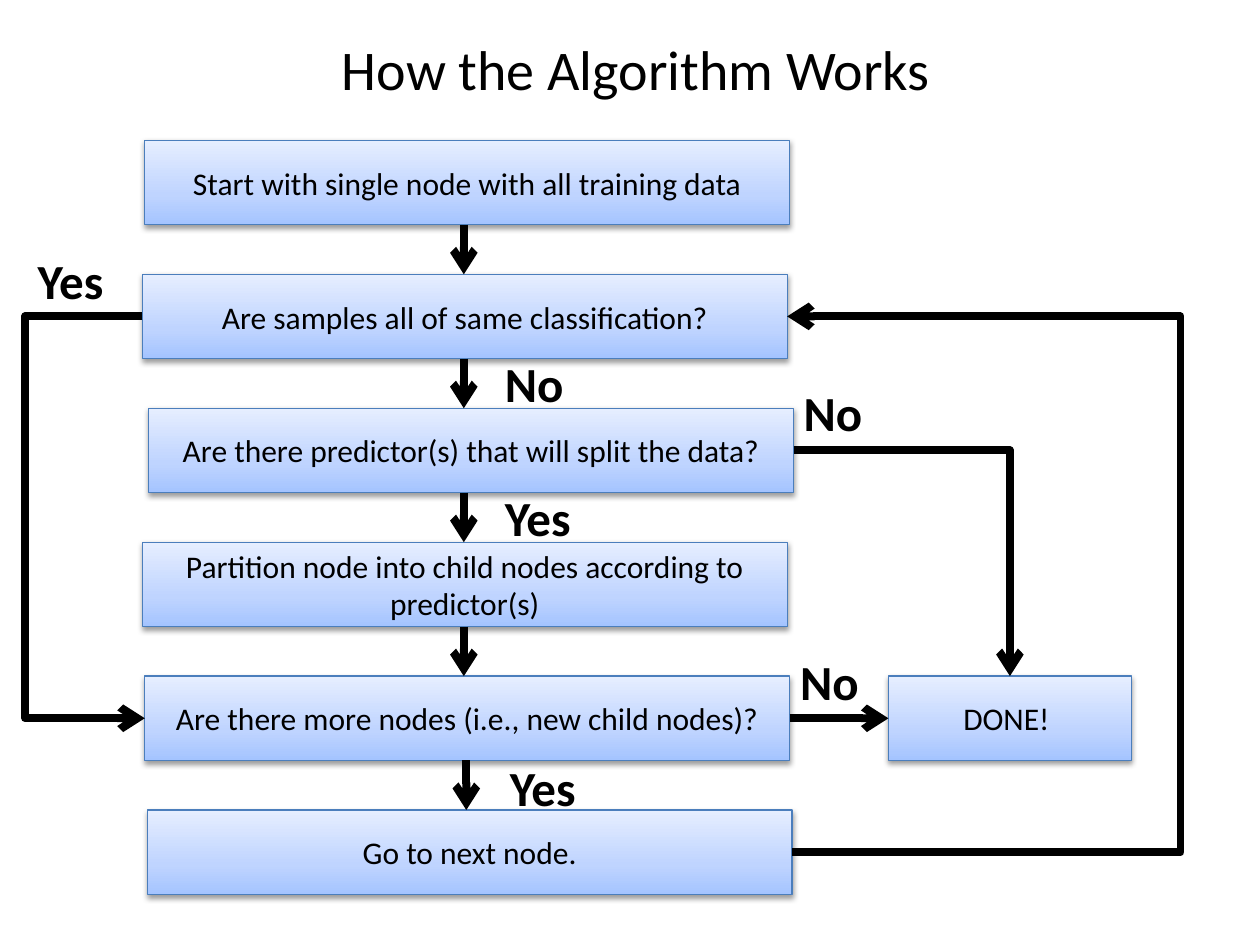
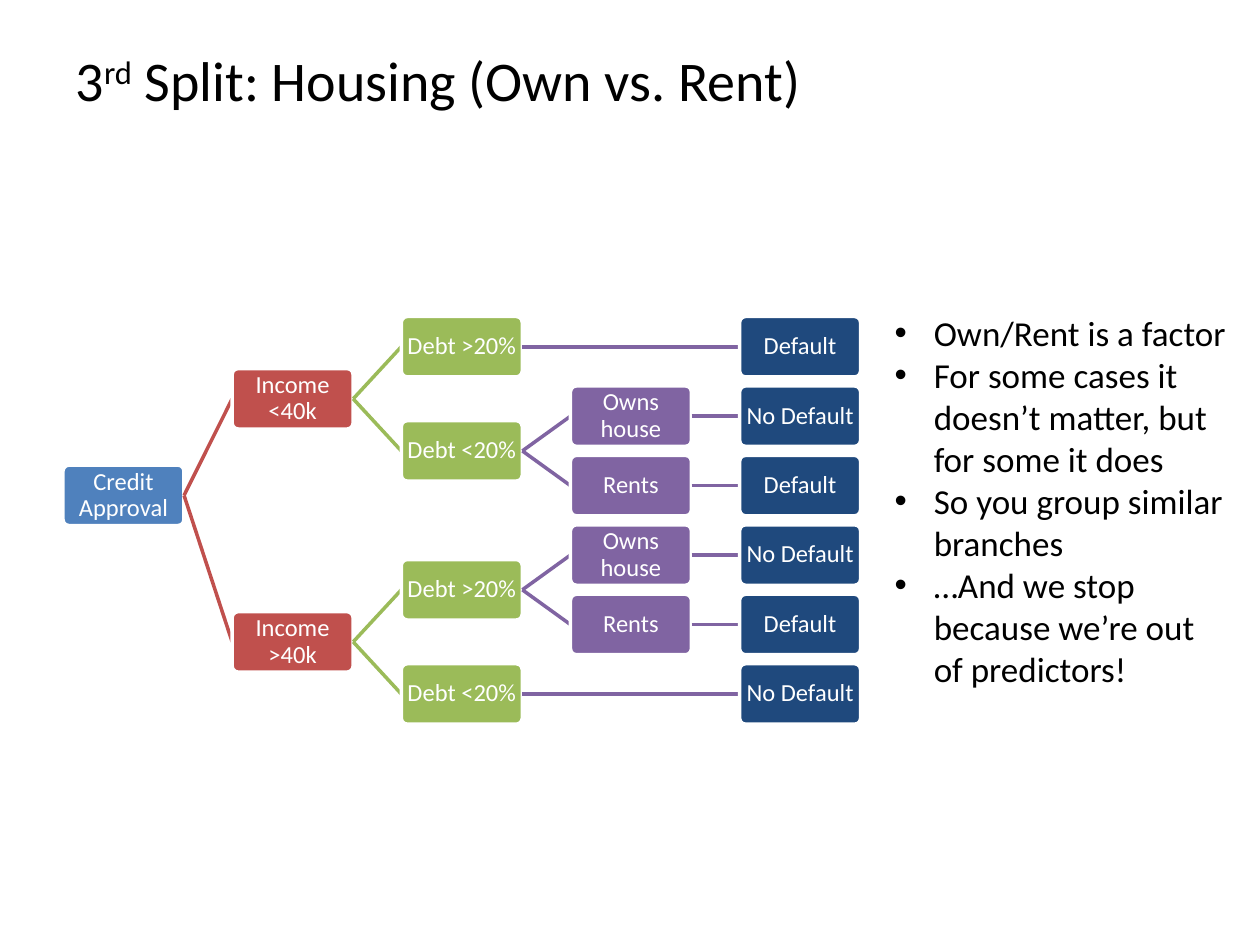
from lxml import etree
from pptx import Presentation
from pptx import util as u
from pptx.dml.color import RGBColor
from pptx.enum import shapes, text
from pptx.oxml.ns import nsdecls, qn
from pptx.util import Cm

# ---- Shared style ----
FONT = "Calibri"
BLACK, WHITE = "000000", "FFFFFF"
TOP, LEFT, BOTTOM, RIGHT = range(4)  # connection sites of a box

# ---- Slide 1: flowchart ----
FLOW_TITLE = [("How the Algorithm Works ", 0)]
STEPS = [  # left edge in cm, text
    (2.92, "Start with single node with all training data"),
    (2.87, "Are samples all of same classification?"),
    (3.0, "Are there predictor(s) that will split the data?"),
    (2.87, "Partition node into child nodes according to predictor(s)"),
    (2.92, "Are there more nodes (i.e., new child nodes)?"),
    (2.97, "Go to next node."),
]
STEP_TOP, STEP_PITCH, STEP_W, STEP_H = 2.83, 2.7, 13.0, 1.7
DONE_TEXT, DONE_X, DONE_W, DONE_ROW = "DONE! ", 17.91, 4.9, 4
DOWN_X = [9.35, 9.35, 9.35, 9.35, 9.4]
ANSWERS = [  # left, top, text
    (0.51, 4.93, "Yes"), (9.93, 7.01, "No"), (15.95, 7.59, "No"),
    (9.93, 9.7, "Yes"), (15.88, 13.0, "No"), (10.03, 15.14, "Yes"),
]
LEFT_LANE, RIGHT_LANE = 0.51, 23.8
STEP_STOPS = [(0, "A4C4FF"), (35, "BFD4FF"), (100, "E6EEFF")]
STEP_LINE = "4B7EBC"

# ---- Slide 2: decision tree ----
TREE_TITLE = [("3", 0), ("rd", 30), (" Split: Housing (Own vs. Rent)", 0)]
# (label, column, children); an outcome holds its row instead of children
TREE = ("Credit\nApproval", 0, [
    ("Income <40k", 1, [
        ("Debt >20%", 2, [("Default", 4, 0)]),
        ("Debt <20%", 2, [
            ("Owns house", 3, [("No Default", 4, 1)]),
            ("Rents", 3, [("Default", 4, 2)])]),
    ]),
    ("Income >40k", 1, [
        ("Debt >20%", 2, [
            ("Owns house", 3, [("No Default", 4, 3)]),
            ("Rents", 3, [("Default", 4, 4)])]),
        ("Debt <20%", 2, [("No Default", 4, 5)]),
    ]),
])
ROOT_ROW = 2.14
COLUMN_FILLS = ["4F81BD", "C0504D", "9BBB59", "8064A2", "1F497D"]
LINK_COLOURS = [None, "C0504D", "9BBB59", "8064A2", "8064A2"]
TREE_X, TREE_Y, COL_PITCH, ROW_PITCH = 1.27, 6.38, 3.41, 1.4
NODE_W, NODE_H = 2.44, 1.22
NOTES = [
    "Own/Rent is a factor",
    "For some cases it doesn’t matter, but for some it does",
    "So you group similar branches",
    "…And we stop because we’re out of predictors!",
]


# ---- Helpers ----
def rgb(colour):
    return RGBColor.from_string(colour)


def place(sp, x, y, w, h):
    sp.left, sp.top, sp.width, sp.height = Cm(x), Cm(y), Cm(w), Cm(h)


def add_run(p, words, size, colour=BLACK, bold=False):
    for i, line in enumerate(words.split("\n")):
        if i:
            p.add_line_break()
        r = p.add_run()
        r.text = line
        r.font.name, r.font.size, r.font.bold = FONT, u.Pt(size), bold
        r.font.color.rgb = rgb(colour)
    return r


def set_title(s, runs, x, w, h, align):
    sp = s.shapes.title
    place(sp, x, 0, w, h)
    tf = sp.text_frame
    tf.auto_size = text.MSO_AUTO_SIZE.NONE
    tf.vertical_anchor = text.MSO_ANCHOR.MIDDLE
    p = tf.paragraphs[0]
    p.alignment = align
    for words, raised in runs:
        r = add_run(p, words, 32)
        if raised:
            r.font._element.set("baseline", str(raised * 1000))


def add_box(s, kind, x, y, w, h, words, size, colour, line, width):
    sp = s.shapes.add_shape(kind, Cm(x), Cm(y), Cm(w), Cm(h))
    sp.shadow.inherit = False
    sp.line.color.rgb, sp.line.width = rgb(line), u.Pt(width)
    tf = sp.text_frame
    tf.word_wrap = True
    tf.vertical_anchor = text.MSO_ANCHOR.MIDDLE
    p = tf.paragraphs[0]
    p.alignment = text.PP_ALIGN.CENTER
    add_run(p, words, size, colour)
    return sp


def add_line(s, colour, width, ends=(0, 0, 0, 0), start=None, end=None,
             kind=shapes.MSO_CONNECTOR.STRAIGHT):
    """Line between two points, or glued to (box, site) pairs."""
    c = s.shapes.add_connector(kind, *[Cm(v) for v in ends])
    if start:
        c.begin_connect(*start)
        c.end_connect(*end)
    c.line.color.rgb, c.line.width = rgb(colour), u.Pt(width)
    etree.SubElement(c._element.spPr, qn("a:effectLst"))
    return c


def add_arrow(s, **where):
    c = add_line(s, BLACK, 4.5, **where)
    etree.SubElement(c.line._get_or_add_ln(), qn("a:tailEnd"), type="arrow")
    return c


def add_elbow(s, start, end, lane=None):
    """Elbow arrow through a vertical lane, or with a single corner."""
    c = add_arrow(s, start=start, end=end, kind=shapes.MSO_CONNECTOR.ELBOW)
    geom = c._element.spPr.find(qn("a:prstGeom"))
    if lane is None:
        geom.set("prst", "bentConnector2")
    else:
        share = (Cm(lane) - c.begin_x) / (c.end_x - c.begin_x)
        guides = geom.find(qn("a:avLst"))
        etree.SubElement(guides, qn("a:gd"), name="adj1",
                         fmla=f"val {round(share * 100000)}")


def add_step(s, x, row, w, words):
    sp = add_box(s, shapes.MSO_SHAPE.RECTANGLE, x, STEP_TOP + row * STEP_PITCH,
                 w, STEP_H, words, 18, BLACK, STEP_LINE, 0.75)
    stops = "".join(f'<a:gs pos="{pos * 1000}"><a:srgbClr val="{c}"/></a:gs>'
                    for pos, c in STEP_STOPS)
    spPr = sp._element.spPr
    spPr.find(qn("a:ln")).addprevious(etree.fromstring(
        f'<a:gradFill {nsdecls("a")} rotWithShape="1"><a:gsLst>{stops}</a:gsLst>'
        '<a:lin ang="16200000" scaled="0"/></a:gradFill>'))
    spPr.find(qn("a:effectLst")).append(etree.fromstring(
        f'<a:outerShdw {nsdecls("a")} blurRad="40000" dist="20000" dir="5400000" '
        f'rotWithShape="0"><a:srgbClr val="{BLACK}"><a:alpha val="38000"/>'
        '</a:srgbClr></a:outerShdw>'))
    return sp


def row_of(node):
    below = node[2]
    if not isinstance(below, list):
        return below
    return sum(map(row_of, below)) / len(below)


def add_node(s, node, parent=None):
    label, col, below = node
    row = row_of(node) if parent else ROOT_ROW
    sp = add_box(s, shapes.MSO_SHAPE.ROUNDED_RECTANGLE, TREE_X + col * COL_PITCH,
                 TREE_Y + row * ROW_PITCH, NODE_W, NODE_H, label, 14, WHITE, WHITE, 2)
    sp.adjustments[0] = 0.1
    sp.fill.solid()
    sp.fill.fore_color.rgb = rgb(COLUMN_FILLS[col])
    tf = sp.text_frame
    tf.margin_left = tf.margin_right = tf.margin_top = tf.margin_bottom = Cm(0.06)
    tf.paragraphs[0].line_spacing = 0.9
    if parent:  # the link lies behind the child box
        c = add_line(s, LINK_COLOURS[col], 2, start=(parent, RIGHT), end=(sp, LEFT))
        sp._element.addprevious(c._element)
    if isinstance(below, list):
        for child in below:
            add_node(s, child, sp)


# ---- Slides ----
def flow_slide(prs):
    s = prs.slides.add_slide(prs.slide_layouts[5])
    set_title(s, FLOW_TITLE, 1.52, 22.86, 2.74, text.PP_ALIGN.CENTER)
    steps = [add_step(s, x, i, STEP_W, words) for i, (x, words) in enumerate(STEPS)]
    done = add_step(s, DONE_X, DONE_ROW, DONE_W, DONE_TEXT)
    _, same_class, can_split, _, more_nodes, next_node = steps

    # Arrows down the main column
    for i, x in enumerate(DOWN_X):
        below = STEP_TOP + (i + 1) * STEP_PITCH
        add_arrow(s, ends=(x, below - STEP_PITCH + STEP_H, x, below))

    # Branches and loop
    add_elbow(s, (same_class, LEFT), (more_nodes, LEFT), LEFT_LANE)
    add_elbow(s, (next_node, RIGHT), (same_class, RIGHT), RIGHT_LANE)
    add_elbow(s, (can_split, RIGHT), (done, TOP))
    add_arrow(s, start=(more_nodes, RIGHT), end=(done, LEFT))

    for x, y, words in ANSWERS:
        tf = s.shapes.add_textbox(Cm(x), Cm(y), Cm(2.36), Cm(1.45)).text_frame
        tf.word_wrap = True
        add_run(tf.paragraphs[0], words, 28, bold=True)


def tree_slide(prs):
    s = prs.slides.add_slide(prs.slide_layouts[1])
    set_title(s, TREE_TITLE, 1.27, 22.86, 3.18, text.PP_ALIGN.LEFT)
    add_node(s, TREE)

    # Bulleted notes
    body = s.placeholders[1]
    place(body, 17.78, 6.15, 7.19, 7.95)
    tf = body.text_frame
    tf.auto_size = text.MSO_AUTO_SIZE.NONE
    for i, words in enumerate(NOTES):
        p = tf.add_paragraph() if i else tf.paragraphs[0]
        pPr = p._p.get_or_add_pPr()
        pPr.set("marL", str(Cm(0.79)))
        pPr.set("indent", str(-Cm(0.79)))
        p.space_before = u.Pt(0)
        add_run(p, words, 20)


def main():
    prs = Presentation()
    prs.slide_width, prs.slide_height = Cm(25.4), Cm(19.05)
    flow_slide(prs)
    tree_slide(prs)
    prs.save("out.pptx")


if __name__ == "__main__":
    main()
